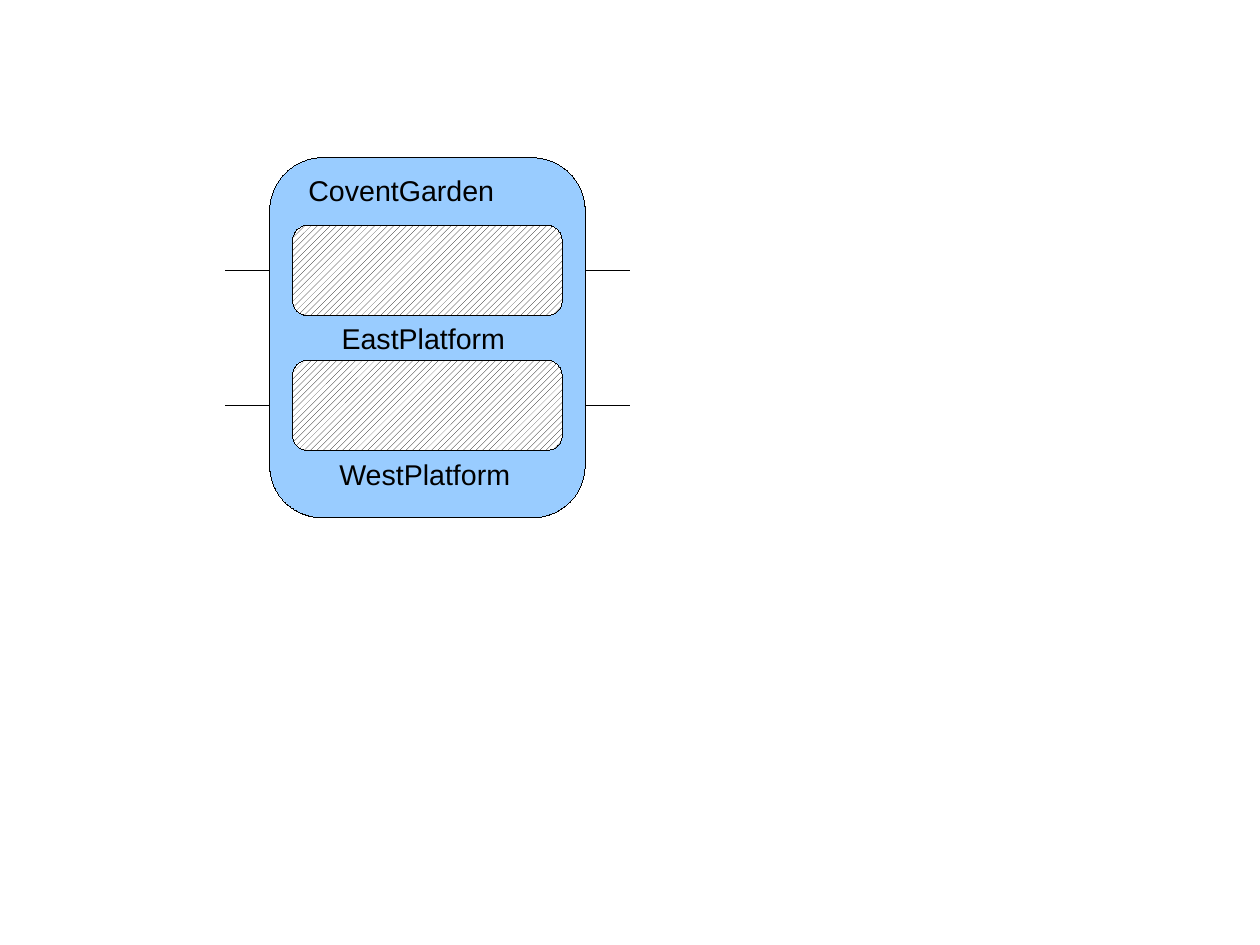
from dataclasses import dataclass

from lxml import etree
from pptx import Presentation
from pptx.dml.color import RGBColor
from pptx.dml.line import LineFormat
from pptx.enum.dml import MSO_PATTERN
from pptx.enum.shapes import MSO_CONNECTOR, MSO_SHAPE
from pptx.enum.text import MSO_AUTO_SIZE, PP_ALIGN
from pptx.oxml.ns import qn
from pptx.shapes.autoshape import Shape
from pptx.slide import Slide
from pptx.util import Inches, Pt

ROUNDED = MSO_SHAPE.ROUNDED_RECTANGLE
STRAIGHT = MSO_CONNECTOR.STRAIGHT
HATCH = MSO_PATTERN.WIDE_UPWARD_DIAGONAL
FIT_SHAPE = MSO_AUTO_SIZE.SHAPE_TO_FIT_TEXT
LEFT = PP_ALIGN.LEFT


@dataclass(frozen=True)
class Theme:
    font: str = "Arial"
    label_size: int = 18
    ink: RGBColor = RGBColor(0x00, 0x00, 0x00)
    paper: RGBColor = RGBColor(0xFF, 0xFF, 0xFF)
    station: RGBColor = RGBColor(0x99, 0xCC, 0xFF)
    hairline: float = 0.01
    corner: float = 0.167


@dataclass(frozen=True)
class Box:
    left: float
    top: float
    width: float
    height: float

    @property
    def right(self) -> float:
        return self.left + self.width

    @property
    def middle(self) -> float:
        return self.top + self.height / 2


@dataclass(frozen=True)
class Label:
    text: str
    box: Box


@dataclass(frozen=True)
class Platform:
    box: Box
    label: Label


THEME = Theme()
CM_PER_INCH = 2.54
SLIDE_WIDTH = 28 / CM_PER_INCH
SLIDE_HEIGHT = 21 / CM_PER_INCH
TRACK_LENGTH = 0.39
STATION = Box(2.36, 1.38, 2.76, 3.15)
STATION_LABEL = Label("CoventGarden", Box(2.6, 1.46, 1.84, 0.38))
PLATFORMS = [
    Platform(Box(2.56, 1.97, 2.36, 0.79),
             Label("EastPlatform", Box(2.89, 2.76, 1.64, 0.38))),
    Platform(Box(2.56, 3.15, 2.36, 0.79),
             Label("WestPlatform", Box(2.87, 3.95, 1.71, 0.38))),
]


def format_line(line: LineFormat) -> None:
    line.color.rgb = THEME.ink
    line.width = Pt(THEME.hairline)


def add_rounded(s: Slide, box: Box) -> Shape:
    sp = s.shapes.add_shape(ROUNDED, Inches(box.left), Inches(box.top),
                            Inches(box.width), Inches(box.height))
    sp.adjustments[0] = THEME.corner
    sp.shadow.inherit = False
    format_line(sp.line)
    return sp


def add_station(s: Slide, box: Box) -> None:
    fill = add_rounded(s, box).fill
    fill.solid()
    fill.fore_color.rgb = THEME.station


def add_platform(s: Slide, box: Box) -> None:
    fill = add_rounded(s, box).fill
    fill.patterned()
    fill.pattern = HATCH
    fill.fore_color.rgb = THEME.ink
    fill.back_color.rgb = THEME.paper


def add_text(s: Slide, text: str, box: Box, *, size: int = THEME.label_size,
             color: RGBColor = THEME.ink, align: PP_ALIGN = LEFT) -> None:
    sp = s.shapes.add_textbox(Inches(box.left), Inches(box.top),
                              Inches(box.width), Inches(box.height))
    tf = sp.text_frame
    tf.word_wrap = False
    tf.auto_size = FIT_SHAPE
    p = tf.paragraphs[0]
    p.alignment = align
    r = p.add_run()
    r.text = text
    r.font.name = THEME.font
    r.font.size = Pt(size)
    r.font.color.rgb = color


def add_track(s: Slide, start: float, y: float) -> None:
    """Draw one horizontal track stub, from its right end to its left end."""
    track = s.shapes.add_connector(STRAIGHT, Inches(start), Inches(y),
                                   Inches(start - TRACK_LENGTH), Inches(y))
    format_line(track.line)
    etree.SubElement(track._element.spPr, qn("a:effectLst"))


def main() -> None:
    prs = Presentation()
    prs.slide_width = Inches(SLIDE_WIDTH)
    prs.slide_height = Inches(SLIDE_HEIGHT)
    s = prs.slides.add_slide(prs.slide_layouts[6])

    add_station(s, STATION)
    add_text(s, STATION_LABEL.text, STATION_LABEL.box)
    for platform in PLATFORMS:
        add_platform(s, platform.box)
    for platform in PLATFORMS:
        add_text(s, platform.label.text, platform.label.box)
    for platform in PLATFORMS:
        for start in (STATION.left, STATION.right + TRACK_LENGTH):
            add_track(s, start, platform.box.middle)

    prs.save("out.pptx")


if __name__ == "__main__":
    main()
